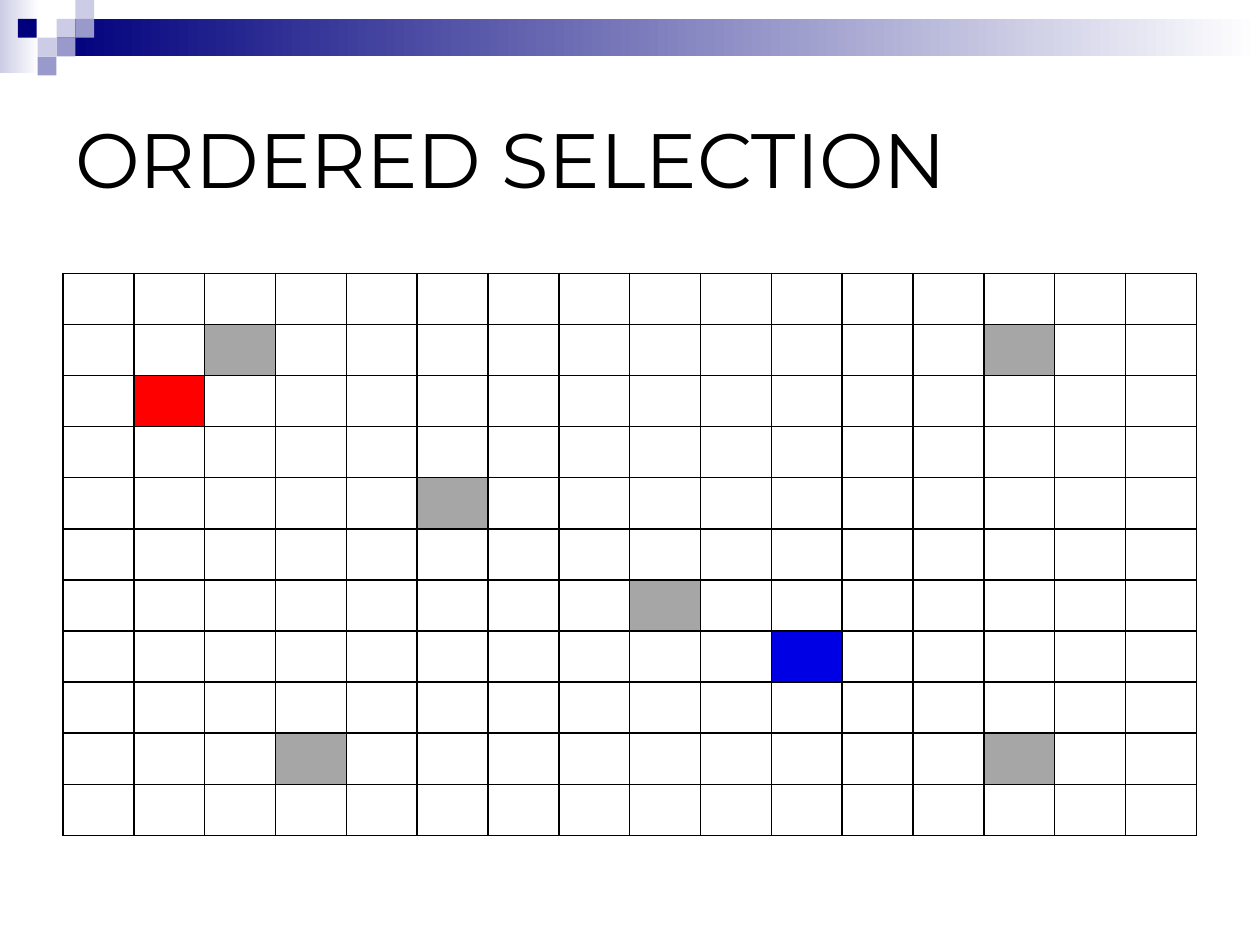
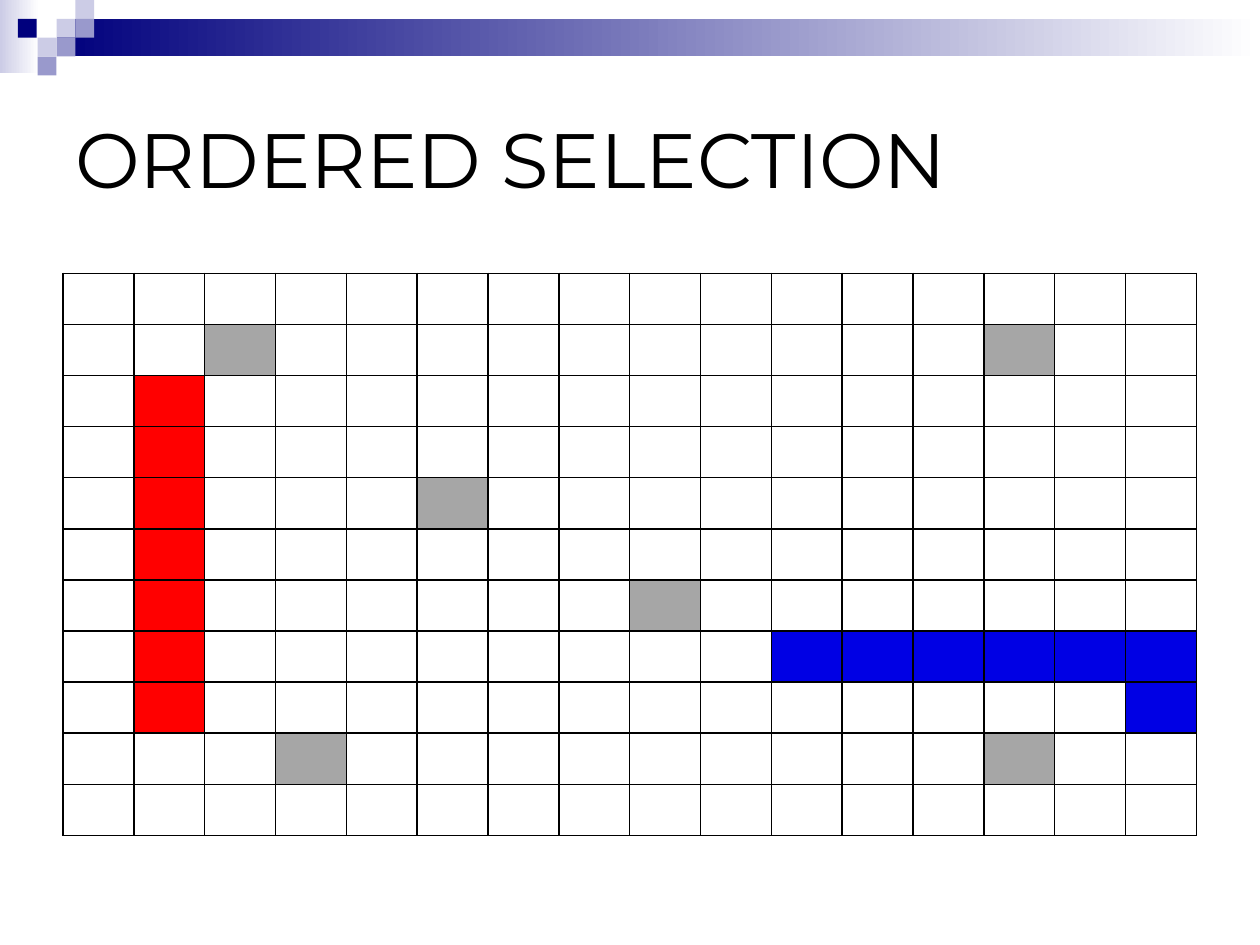
from dataclasses import dataclass

from lxml import etree
from pptx import Presentation
from pptx.dml.color import RGBColor
from pptx.enum.shapes import MSO_SHAPE
from pptx.enum.text import MSO_ANCHOR
from pptx.oxml.ns import qn
from pptx.util import Cm, Pt

RECT = MSO_SHAPE.RECTANGLE
MIDDLE = MSO_ANCHOR.MIDDLE

# Content: the grid positions are (row, column), counted from 0
TITLE = "ORDERED SELECTION"
ROWS, COLS = 11, 16
OBSTACLES = [(1, 2), (1, 13), (4, 5), (6, 8), (9, 3), (9, 13)]
SLIDES = [
    {"red": [(2, 1)], "blue": [(7, 10)]},
    {"red": [(row, 1) for row in range(2, 9)],
     "blue": [(7, col) for col in range(10, 16)] + [(8, 15)]},
]


@dataclass(frozen=True)
class Theme:
    font: str = "Montserrat"
    title_size: int = 44
    border_width: float = 1
    black: str = "000000"
    white: str = "FFFFFF"
    navy: str = "00007D"
    lilac: str = "CCCCE6"
    violet: str = "9999CC"
    grey: str = "A6A6A6"
    red: str = "FF0000"
    blue: str = "0000E4"


T = Theme()

# Corner mosaic: (column, row, colour) in steps of one square
SQUARE = 0.38
MOSAIC = [
    (3, 1, T.lilac), (4, 0, T.lilac), (4, 1, T.violet), (2, 2, T.lilac),
    (0.95, 1, T.navy), (3, 2, T.violet), (2, 3, T.violet),
]
# Fading bands: left, top, width, height, start colour
BANDS = [(0, 0, 0.79, 1.47, T.lilac), (1.14, 0.38, 24.26, 0.76, T.navy)]


def add_rect(s, left, top, width, height, color, fade=False):
    sp = s.shapes.add_shape(RECT, Cm(left), Cm(top), Cm(width), Cm(height))
    sp.shadow.inherit = False
    sp.line.fill.background()
    if fade:
        sp.fill.gradient()
        sp.fill.gradient_angle = 0
        for stop, stop_color in zip(sp.fill.gradient_stops, (color, T.white)):
            stop.color.rgb = RGBColor.from_string(stop_color)
    else:
        sp.fill.solid()
        sp.fill.fore_color.rgb = RGBColor.from_string(color)


def add_header(s):
    for *box, color in BANDS:
        add_rect(s, *box, color, fade=True)
    for col, row, color in MOSAIC:
        add_rect(s, col * SQUARE, row * SQUARE, SQUARE, SQUARE, color)


def add_title(s, text):
    tf = s.shapes.add_textbox(Cm(1.27), Cm(1.27), Cm(22.86), Cm(3.81)).text_frame
    tf.word_wrap = True
    tf.vertical_anchor = MIDDLE
    p = tf.paragraphs[0]
    p.text = text
    p.font.name = T.font
    p.font.size = Pt(T.title_size)
    p.font.color.rgb = RGBColor.from_string(T.black)


def set_borders(cell):
    tc_pr = cell._tc.get_or_add_tcPr()
    for index, side in enumerate(("a:lnL", "a:lnR", "a:lnT", "a:lnB")):
        ln = etree.Element(qn(side), w=str(Pt(T.border_width)))
        fill = etree.SubElement(ln, qn("a:solidFill"))
        etree.SubElement(fill, qn("a:srgbClr"), val=T.black)
        tc_pr.insert(index, ln)


def add_grid(s, colors):
    width, height = Cm(22.86), Cm(11.33)
    table = s.shapes.add_table(ROWS, COLS, Cm(1.27), Cm(5.51), width, height).table
    table.first_row = table.horz_banding = False
    for col in table.columns:
        col.width = width // COLS
    for row in table.rows:
        row.height = height // ROWS
    for r in range(ROWS):
        for c in range(COLS):
            cell = table.cell(r, c)
            cell.margin_top = cell.margin_bottom = 0
            cell.fill.solid()
            cell.fill.fore_color.rgb = RGBColor.from_string(colors.get((r, c), T.white))
            set_borders(cell)


def main():
    prs = Presentation()
    prs.slide_width, prs.slide_height = Cm(25.4), Cm(19.05)
    blank = prs.slide_layouts[6]
    for regions in SLIDES:
        s = prs.slides.add_slide(blank)
        add_header(s)
        add_title(s, TITLE)
        # Obstacles stay put while the two regions grow
        colors = dict.fromkeys(OBSTACLES, T.grey)
        colors.update(dict.fromkeys(regions["red"], T.red))
        colors.update(dict.fromkeys(regions["blue"], T.blue))
        add_grid(s, colors)
    prs.save("out.pptx")


if __name__ == "__main__":
    main()
